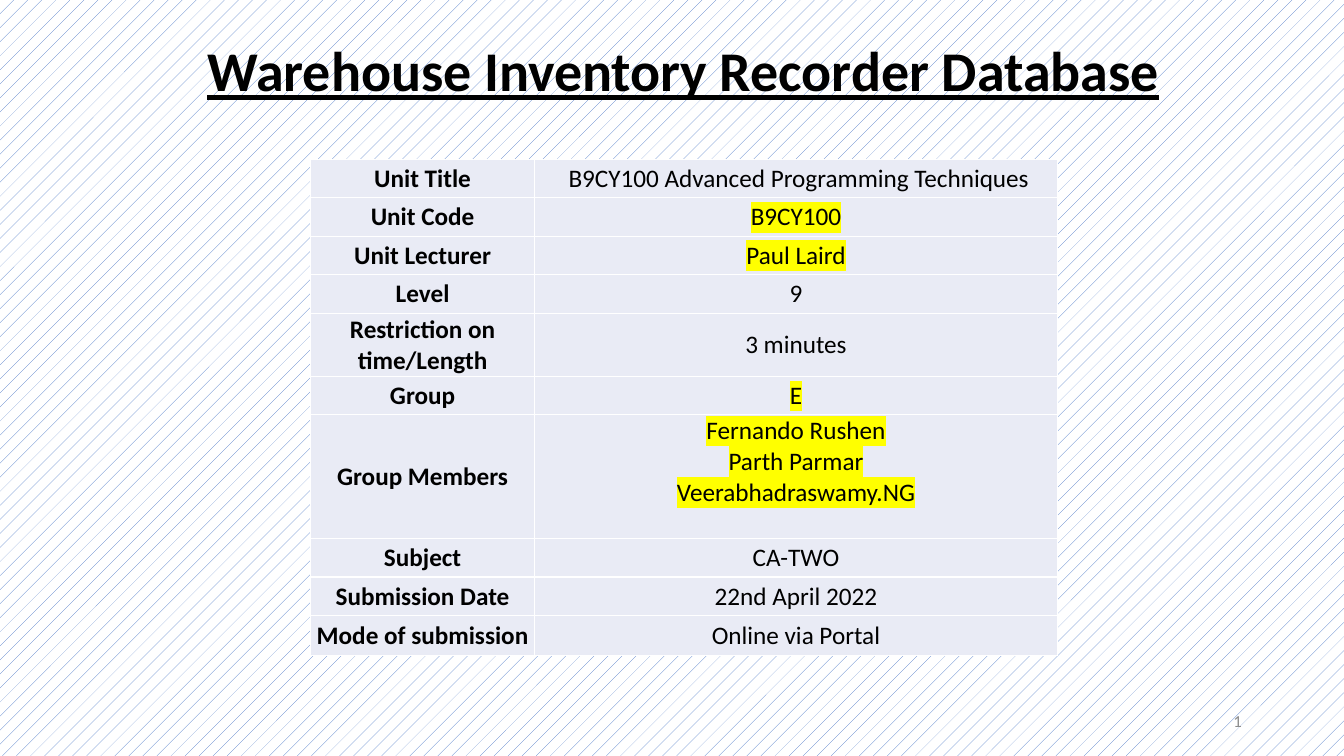
from lxml.etree import SubElement
from pptx import Presentation
from pptx.dml.color import RGBColor
from pptx.enum.dml import MSO_PATTERN
from pptx.enum.text import MSO_ANCHOR, PP_ALIGN
from pptx.oxml.ns import qn
from pptx.util import Cm, Pt

COLORS = {
    "text": "000000",
    "muted": "8C8C8C",
    "cell": "E9EBF5",
    "border": "FFFFFF",
    "highlight": "FFFF00",
    "pattern": "4472C4",
    "paper": "FFFFFF",
}
FONT = "Calibri"
ROW_HEIGHT = 0.97
LINE_HEIGHT = 0.77

# Label, value lines, highlighted, row height, bottom margin
UNIT_DETAILS = [
    ("Unit Title", [" B9CY100 Advanced Programming Techniques"], False, ROW_HEIGHT, 0),
    ("Unit Code", ["B9CY100"], True, ROW_HEIGHT, 0),
    ("Unit Lecturer", ["Paul Laird"], True, ROW_HEIGHT, 0),
    ("Level", ["9"], False, ROW_HEIGHT, 0),
    ("Restriction on time/Length", ["3 minutes"], False, 1.59, 0),
    ("Group", ["E"], True, ROW_HEIGHT, 0),
    ("Group Members", ["Fernando Rushen", "Parth Parmar", "Veerabhadraswamy.NG"],
     True, 3.12, LINE_HEIGHT),
    ("Subject", ["CA-TWO"], False, ROW_HEIGHT, 0),
    ("Submission Date", ["22nd April 2022"], False, ROW_HEIGHT, 0),
    ("Mode of submission", ["Online via Portal"], False, 1.0, 0),
]


def rgb(name):
    """Return the named colour."""
    return RGBColor.from_string(COLORS[name])


def write_text(frame, lines, size=18, color="text", bold=False, underline=False,
               align=PP_ALIGN.CENTER, spacing=1.0, highlight=False):
    """Write each line as a formatted paragraph of the text frame."""
    for index, line in enumerate(lines):
        paragraph = frame.add_paragraph() if index else frame.paragraphs[0]
        paragraph.alignment = align
        paragraph.line_spacing = spacing
        run = paragraph.add_run()
        run.text = line
        run.font.size = Pt(size)
        run.font.bold = bold
        run.font.underline = underline
        run.font.color.rgb = rgb(color)
        if highlight:
            marker = SubElement(run._r.get_or_add_rPr(), qn("a:highlight"))
            SubElement(marker, qn("a:srgbClr"), val=COLORS["highlight"])
        run.font.name = FONT


def add_text(slide, left, top, width, height, text, anchor, **text_format):
    """Add a wrapped text box with one formatted line."""
    frame = slide.shapes.add_textbox(Cm(left), Cm(top), Cm(width), Cm(height)).text_frame
    frame.word_wrap = True
    frame.vertical_anchor = anchor
    write_text(frame, [text], **text_format)


def fill_cell(cell, lines, bottom=0, **text_format):
    """Give a table cell its borders, fill, margins and text."""
    properties = cell._tc.get_or_add_tcPr()
    for side in ("lnL", "lnR", "lnT", "lnB"):
        border = SubElement(properties, qn(f"a:{side}"), w=str(Pt(1)))
        solid = SubElement(border, qn("a:solidFill"))
        SubElement(solid, qn("a:srgbClr"), val=COLORS["border"])
    cell.fill.solid()
    cell.fill.fore_color.rgb = rgb("cell")
    cell.margin_left = cell.margin_right = cell.margin_top = Cm(0.02)
    cell.margin_bottom = Cm(bottom)
    cell.vertical_anchor = MSO_ANCHOR.MIDDLE
    write_text(cell.text_frame, lines, **text_format)


def add_details_table(slide):
    """Add the two-column table of unit details."""
    total_height = sum(row[3] for row in UNIT_DETAILS)
    details = slide.shapes.add_table(len(UNIT_DETAILS), 2, Cm(7.82), Cm(4.01),
                                     Cm(18.82), Cm(total_height)).table
    details.first_row = details.horz_banding = False
    for column, width in zip(details.columns, (5.66, 13.16)):
        column.width = Cm(width)
    for index, (label, values, marked, height, bottom) in enumerate(UNIT_DETAILS):
        details.rows[index].height = Cm(height)
        fill_cell(details.cell(index, 0), [label], bold=True)
        fill_cell(details.cell(index, 1), values, bottom, highlight=marked)


def set_background(slide):
    """Fill the slide background with the light pattern."""
    fill = slide.background.fill
    fill.patterned()
    fill.pattern = MSO_PATTERN.PERCENT_5
    fill.fore_color.rgb = rgb("pattern")
    fill.back_color.rgb = rgb("paper")


def main():
    """Build the project cover slide."""
    deck = Presentation()
    deck.slide_width, deck.slide_height = Cm(33.87), Cm(19.05)
    slide = deck.slides.add_slide(deck.slide_layouts[6])
    set_background(slide)
    add_text(slide, 0.81, 0.56, 32.82, 2.18, "Warehouse Inventory Recorder Database",
             MSO_ANCHOR.BOTTOM, size=40, bold=True, underline=True, spacing=0.9)
    add_text(slide, 23.93, 17.65, 7.62, 1.02, "1", MSO_ANCHOR.MIDDLE,
             size=12, color="muted", align=PP_ALIGN.RIGHT)
    add_details_table(slide)
    deck.save("out.pptx")


main()
